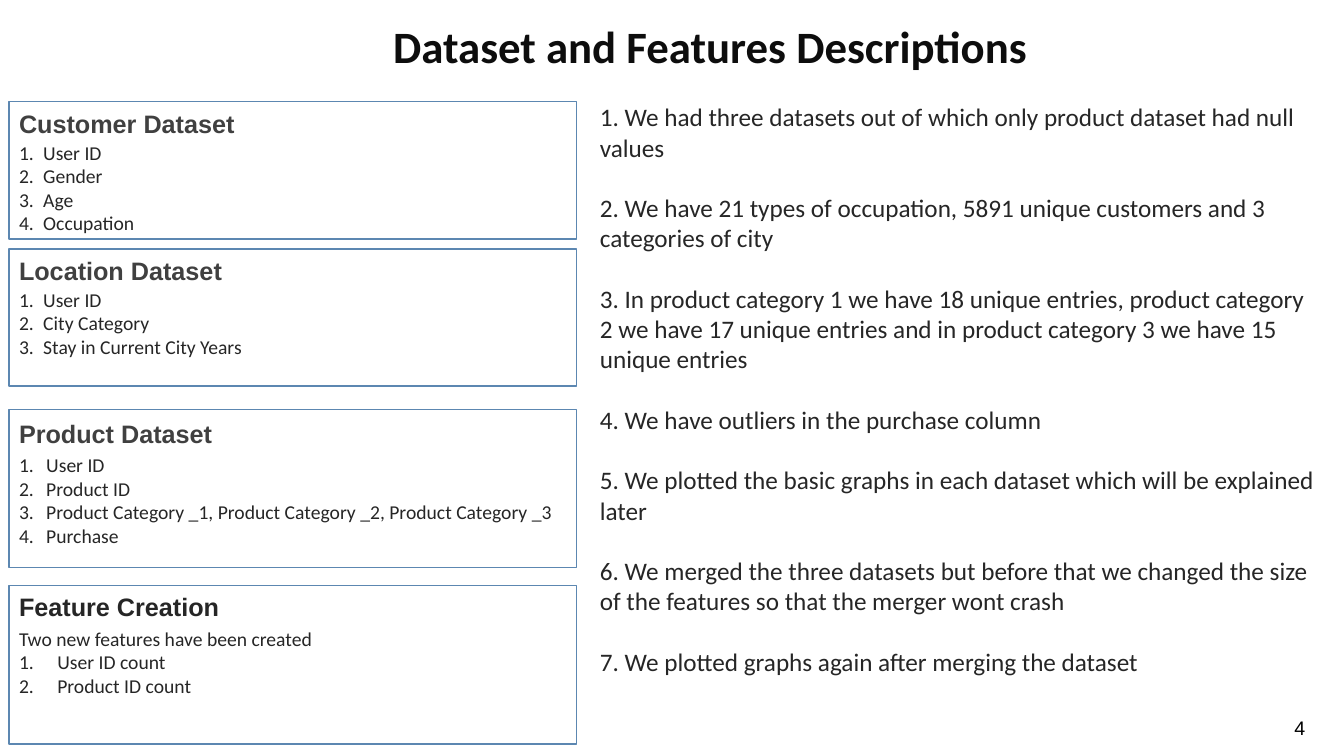
from lxml.etree import SubElement
from pptx import Presentation
from pptx.dml.color import RGBColor
from pptx.enum.shapes import MSO_SHAPE as Shape
from pptx.enum.text import MSO_ANCHOR as Anchor, MSO_AUTO_SIZE as AutoSize, PP_ALIGN as Align
from pptx.oxml.ns import qn
from pptx.util import Inches, Pt

COLOURS = {
    "title": "0D0D0D", "heading": "404040", "text": "262626",
    "line": "5C87B1", "card": "FFFFFF", "number": "000000",
}
WIDTH, HEIGHT = Inches(13.33), Inches(7.5)
CARD_LEFT, CARD_WIDTH = 0.68, 42.23

# Top and height (percent of the slide), heading and its look, intro, items, list look
CARDS = [
    dict(top=13.47, height=18.13, heading="Customer Dataset",
         items=["User ID", "Gender", "Age", "Occupation"]),
    dict(top=32.93, height=18.13, heading="Location Dataset",
         items=["User ID", "City Category", "Stay in Current City Years"]),
    dict(top=54.13, height=20.93, heading="Product Dataset", heading_spacing=1.1,
         first_spacing=1.2, hanging=0.27,
         items=["User ID", "Product ID",
                "Product Category _1, Product Category _2, Product Category _3",
                "Purchase"]),
    dict(top=77.47, height=20.93, heading="Feature Creation", heading_colour="text",
         first_spacing=1.2, hanging=0.38, intro="Two new features have been created",
         items=["User ID count", "Product ID count"]),
]
FINDINGS = [
    "We had three datasets out of which only product dataset had null values",
    "We have 21 types of occupation, 5891 unique customers and 3 categories of city",
    "In product category 1 we have 18 unique entries, product category 2 we have 17 "
    "unique entries and in product category 3 we have 15 unique entries",
    "We have outliers in the purchase column",
    "We plotted the basic graphs in each dataset which will be explained later",
    "We merged the three datasets but before that we changed the size of the features "
    "so that the merger wont crash",
    "We plotted graphs again after merging the dataset",
]


def share(left, top, width, height):
    """Turn percentages of the slide into lengths."""
    return [int(percent * side / 100) for percent, side in
            zip((left, top, width, height), (WIDTH, HEIGHT, WIDTH, HEIGHT))]


def place(shape, box):
    shape.left, shape.top, shape.width, shape.height = box


def prepare(frame, top_inset=0.05):
    frame.word_wrap = True
    frame.auto_size = AutoSize.NONE
    frame.vertical_anchor = Anchor.TOP
    frame.margin_left = frame.margin_right = Inches(0.1)
    frame.margin_top, frame.margin_bottom = Inches(top_inset), Inches(0.05)


def write(frame, text, size=14, font="Calibri", colour="text", bold=False,
          spacing=1.0, after=0, hanging=0, numbered=False):
    """Add one formatted paragraph, using the empty first one if it is free."""
    first = frame.paragraphs[0]
    para = frame.add_paragraph() if first.runs else first
    para.alignment = Align.LEFT
    para.line_spacing = spacing
    para.space_before, para.space_after = Pt(0), Pt(after)
    layout = para._p.get_or_add_pPr()
    layout.set("marL", str(Inches(hanging)))
    layout.set("indent", str(-Inches(hanging)))
    if numbered:
        SubElement(layout, qn("a:buFont"), typeface="+mj-lt")
        SubElement(layout, qn("a:buAutoNum"), type="arabicPeriod")
    else:
        SubElement(layout, qn("a:buNone"))
    span = para.add_run()
    span.text = text
    span.font.size, span.font.name, span.font.bold = Pt(size), font, bold
    span.font.color.rgb = RGBColor.from_string(COLOURS[colour])


def add_title(page, box):
    title = page.shapes.title
    place(title, box)
    prepare(title.text_frame)
    write(title.text_frame, "Dataset and Features Descriptions",
          size=32, colour="title", bold=True)


def add_card(page, box, heading, items, intro=None, heading_colour="heading",
             heading_spacing=1.0, first_spacing=1.1, hanging=0.24):
    card = page.shapes.add_shape(Shape.RECTANGLE, *box)
    card.shadow.inherit = False
    card.fill.solid()
    card.fill.fore_color.rgb = RGBColor.from_string(COLOURS["card"])
    card.line.color.rgb = RGBColor.from_string(COLOURS["line"])
    card.line.width = Pt(1)
    frame = card.text_frame
    prepare(frame, top_inset=0.06)
    write(frame, heading, size=18, font="Arial", colour=heading_colour,
          bold=True, spacing=heading_spacing)
    if intro:
        write(frame, intro, spacing=first_spacing)
    for number, item in enumerate(items, 1):
        opens_list = number == 1 and not intro
        write(frame, item if intro else f"{number}.\t{item}", hanging=hanging,
              numbered=bool(intro), spacing=first_spacing if opens_list else 1.0)


def add_findings(page, box):
    body = page.placeholders[1]
    place(body, box)
    prepare(body.text_frame)
    for number, finding in enumerate(FINDINGS, 1):
        write(body.text_frame, f"{number}. {finding}", size=18, after=21.6)


def add_page_number(page, box):
    frame = page.shapes.add_textbox(*box).text_frame
    prepare(frame)
    write(frame, "4", font="Arial", colour="number")


def main():
    deck = Presentation()
    deck.slide_width, deck.slide_height = WIDTH, HEIGHT
    page = deck.slides.add_slide(deck.slide_layouts[1])
    add_title(page, share(28.5, 1.87, 49.28, 8.53))
    for card in CARDS:
        details = dict(card)
        box = share(CARD_LEFT, details.pop("top"), CARD_WIDTH, details.pop("height"))
        add_card(page, box, **details)
    add_findings(page, share(43.88, 12.8, 55.06, 82))
    add_page_number(page, share(95.57, 94, 2.4, 4.53))
    deck.save("out.pptx")


if __name__ == "__main__":
    main()
